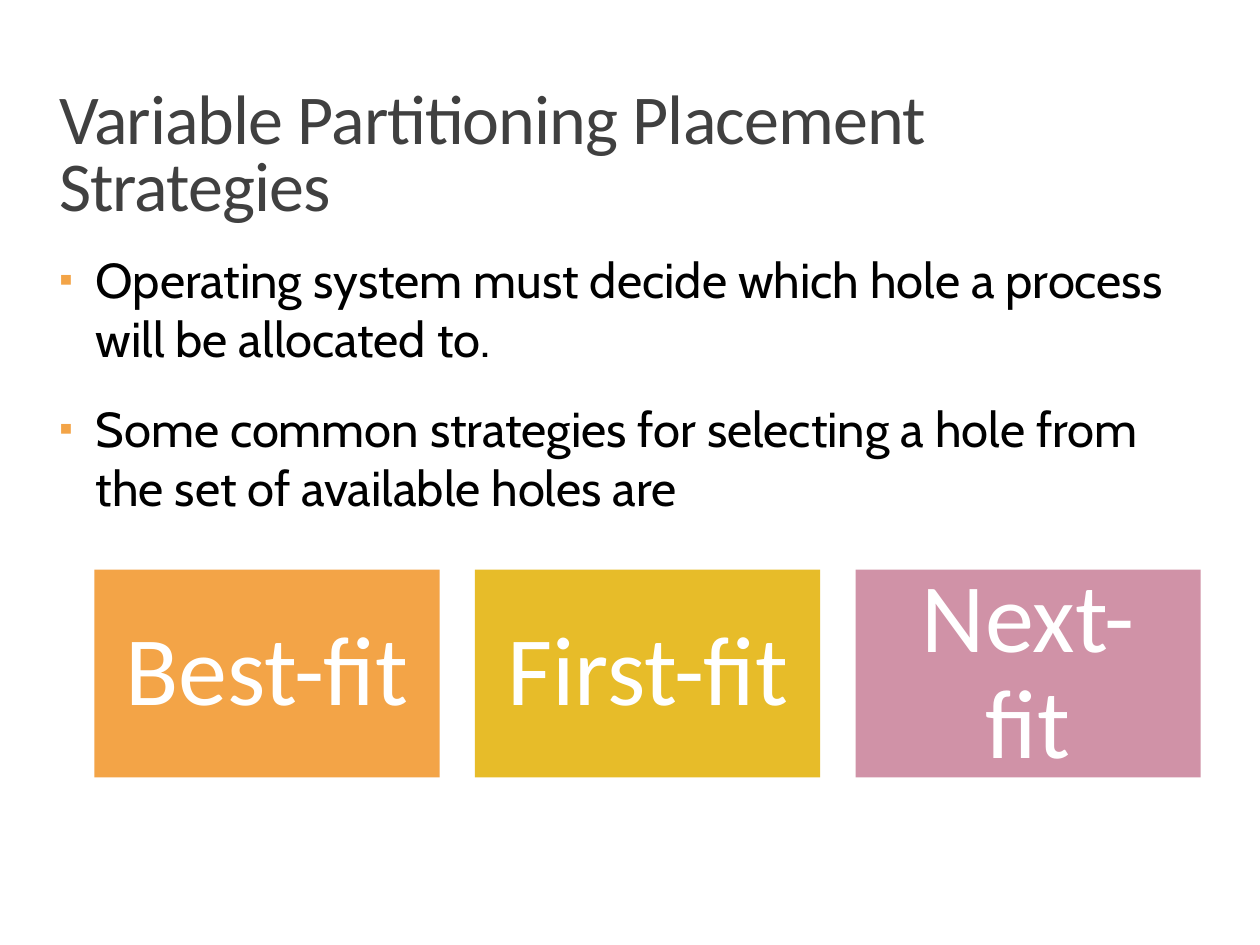
"""Builds the slide on placement strategies for variable partitioning."""
from lxml.etree import SubElement
from pptx import Presentation
from pptx.dml.color import RGBColor
from pptx.enum.shapes import MSO_SHAPE
from pptx.enum.text import MSO_ANCHOR, PP_ALIGN
from pptx.oxml.ns import qn
from pptx.util import Inches, Pt


def colour(value):
    return RGBColor.from_string(value)


def write(para, text, font="Calibri", size=28, color="000000", spacing=None,
          align=PP_ALIGN.LEFT, line=1.0, before=0, after=0):
    para.alignment = align
    para.line_spacing = line
    para.space_before = Pt(before)
    para.space_after = Pt(after)
    span = para.add_run()
    span.text = text
    span.font.name = font
    span.font.size = Pt(size)
    span.font.color.rgb = colour(color)
    if spacing is not None:
        span.font._element.set("spc", str(round(spacing * 100)))


def add_bullet(para, symbol, color, percent, indent):
    properties = para._p.get_or_add_pPr()
    properties.set("marL", str(indent))
    properties.set("indent", str(-indent))
    bullet_color = SubElement(properties, qn("a:buClr"))
    SubElement(bullet_color, qn("a:srgbClr"), val=color)
    SubElement(properties, qn("a:buSzPct"), val=str(percent * 1000))
    SubElement(properties, qn("a:buFont"), typeface="Arial")
    SubElement(properties, qn("a:buChar"), char=symbol)


def set_frame(frame, anchor, left, top, right, bottom):
    frame.word_wrap = True
    frame.vertical_anchor = anchor
    frame.margin_left, frame.margin_right = Inches(left), Inches(right)
    frame.margin_top, frame.margin_bottom = Inches(top), Inches(bottom)


class Slide:
    accent = "F3A447"
    left, width = 0.47, 9.06

    def __init__(self, deck):
        self.page = deck.slides.add_slide(deck.slide_layouts[6])

    def text_frame(self, top, height, inset_top=0):
        box = self.page.shapes.add_textbox(
            Inches(self.left), Inches(top), Inches(self.width), Inches(height))
        set_frame(box.text_frame, MSO_ANCHOR.TOP, 0, inset_top, 0, 0)
        return box.text_frame

    def title(self, text):
        frame = self.text_frame(0.68, 1.3, inset_top=0.04)
        write(frame.paragraphs[0], text, size=40, color="404040",
              spacing=-0.5, line=0.8)

    def bullets(self, items):
        frame = self.text_frame(1.98, 2.36)
        for index, item in enumerate(items):
            para = frame.add_paragraph() if index else frame.paragraphs[0]
            write(para, item, font="Cabin", before=18)
            add_bullet(para, "▪", self.accent, 80, Inches(0.29))

    def card(self, left, text, fill):
        box = self.page.shapes.add_shape(
            MSO_SHAPE.RECTANGLE, Inches(left), Inches(4.52), Inches(2.74), Inches(1.65))
        box.shadow.inherit = False
        box.fill.solid()
        box.fill.fore_color.rgb = colour(fill)
        box.line.fill.background()
        set_frame(box.text_frame, MSO_ANCHOR.MIDDLE, 0.23, 0.23, 0.23, 0.23)
        write(box.text_frame.paragraphs[0], text, size=56, color="FFFFFF",
              align=PP_ALIGN.CENTER, line=0.9)


def main():
    deck = Presentation()
    deck.slide_width, deck.slide_height = Inches(10), Inches(7.5)
    slide = Slide(deck)
    slide.title("Variable Partitioning Placement Strategies")
    slide.bullets([
        "Operating system must decide which hole a process will be allocated to.",
        "Some common strategies for selecting a hole from the set of available holes are",
    ])
    strategies = [("Best-fit", Slide.accent), ("First-fit", "E7BC29"), ("Next-fit", "D092A7")]
    for index, (name, fill) in enumerate(strategies):
        slide.card(0.75 + index * 3.02, name, fill)
    deck.save("out.pptx")


if __name__ == "__main__":
    main()
